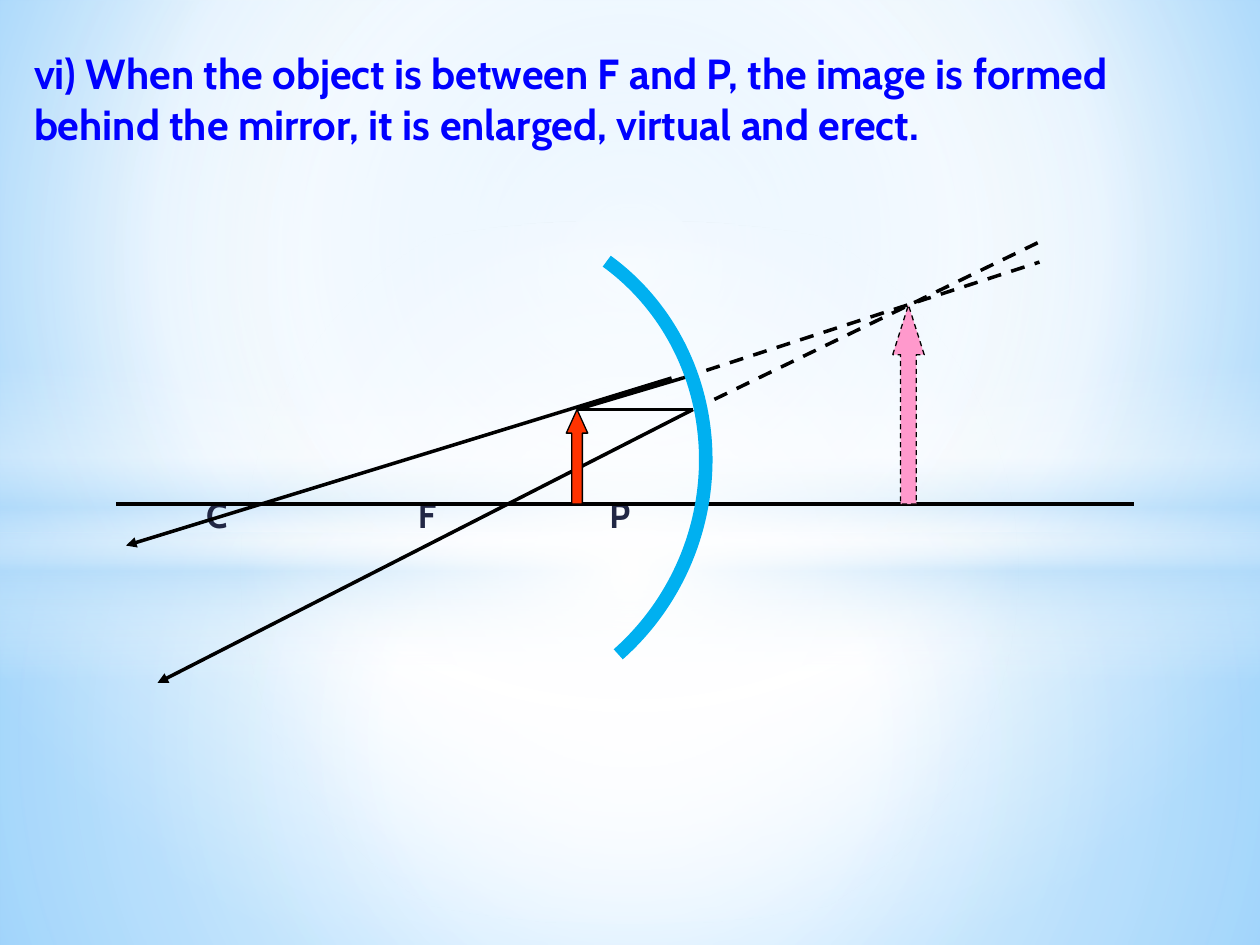
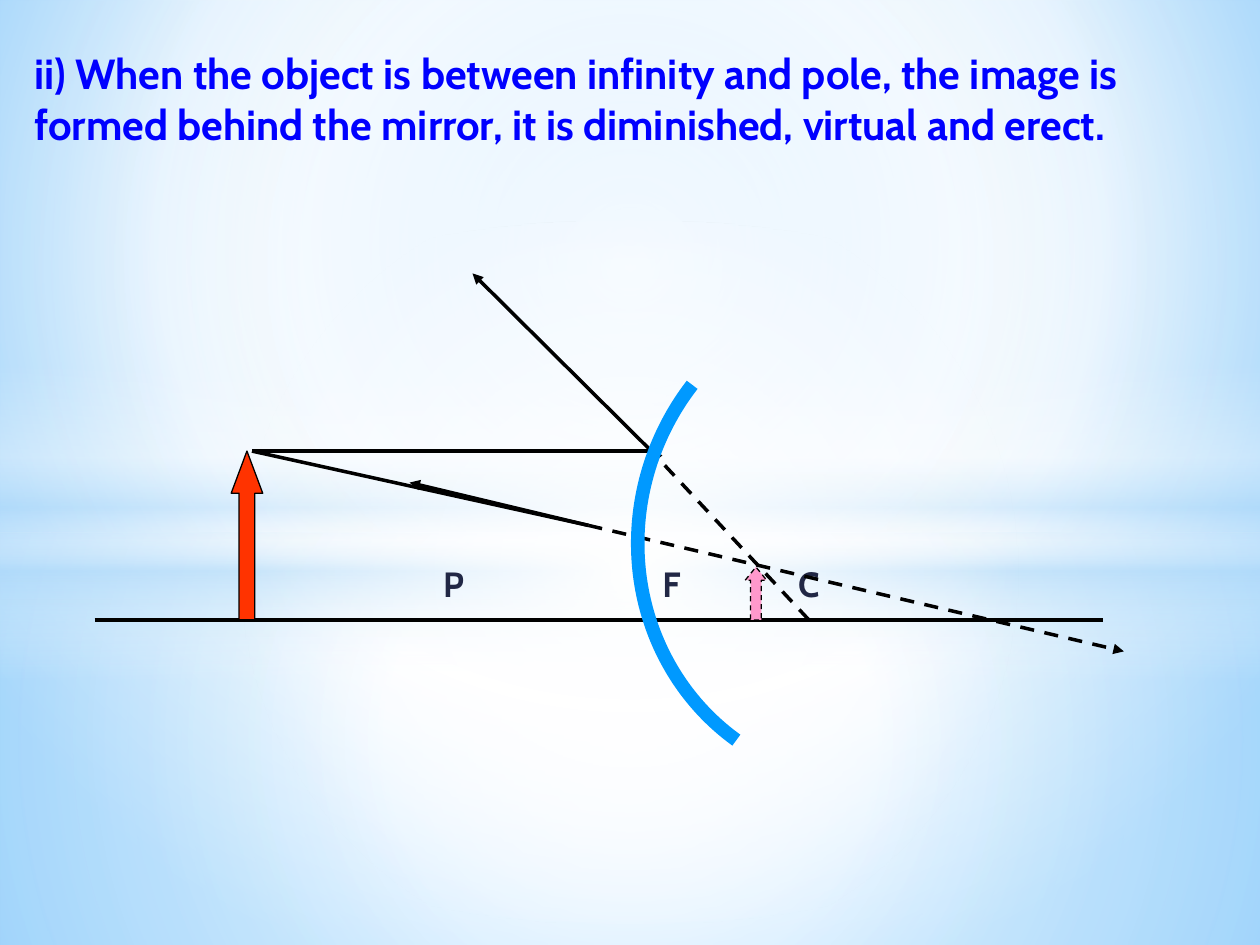
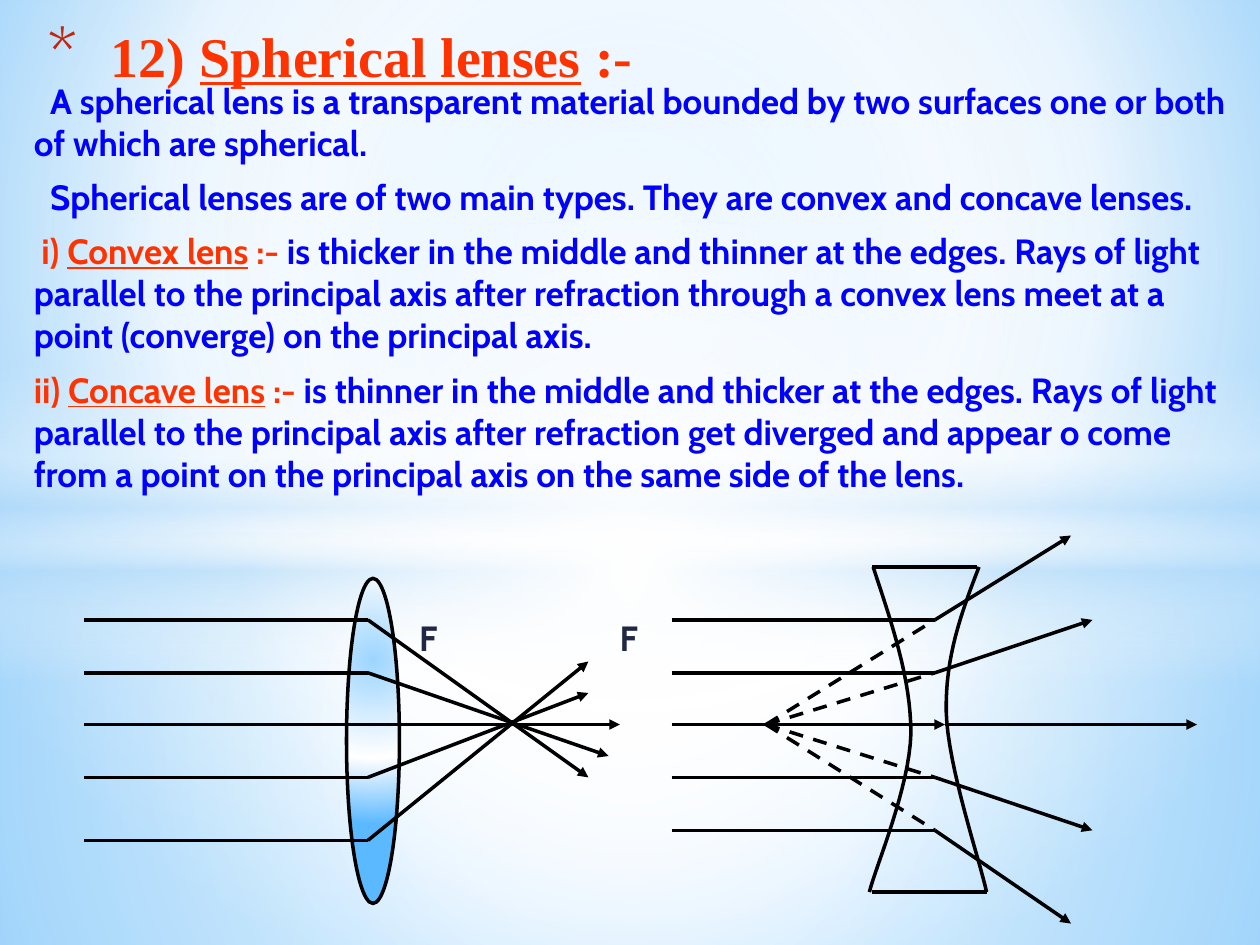
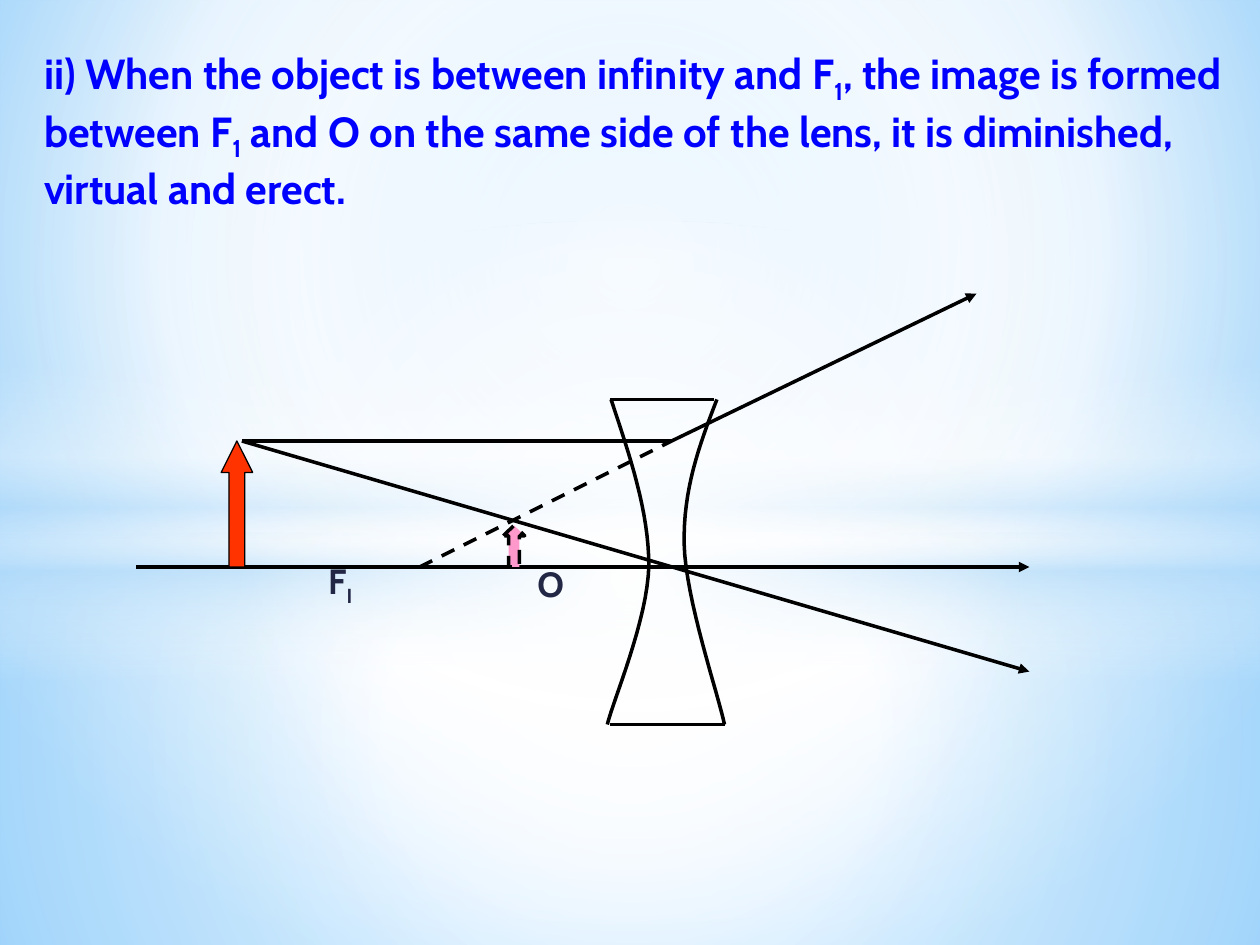
from lxml import etree
from pptx import Presentation, util as u
from pptx.dml.color import RGBColor
from pptx.enum import dml, shapes, text
from pptx.oxml import parse_xml
from pptx.oxml.ns import nsdecls, qn

WIDTH, HEIGHT = 10, 7.5
COLORS = {
    "statement": "0000FF", "heading": "FF3300", "label": "212745", "bullet": "C3260C",
    "line": "000000", "object": "FF3300", "image": "FF99CC",
    "concave mirror": "00B0F0", "convex mirror": "0099FF",
    "white": "FFFFFF", "sky": "9ED5FF", "haze": "B4DCFA", "deep": "5BB9FF",
}
BODY_FONT, HEADING_FONT = "Cabin", "Times New Roman"
CENTER = (50, 50, 50, 50)

# Gradient stops: (position %, colour, opacity %); focus: left, top, right, bottom %
SKY = ([(0, "sky", 100), (60, "white", 100), (100, "deep", 100)], (20, 10, 20, 60))
BANDS = [  # preset, top, height, stops, focus (None: vertical gradient)
    ("RECTANGLE", 4.23, 3.27, [(0, "white", 91), (37, "white", 76), (100, "haze", 79)], CENTER),
    ("RECTANGLE", 0, 4.23, [(0, "white", 89), (48, "white", 62), (100, "haze", 79)], CENTER),
    ("RECTANGLE", 2.9, 2.5, [(0, "white", 0), (29, "white", 30), (45, "haze", 40),
                             (55, "white", 26), (65, "haze", 60), (100, "white", 0)], None),
    ("OVAL", 1.75, 5.58, [(0, "white", 100), (54, "white", 0)], CENTER),
]

# Rays: x1, y1, x2, y2, style. Arrows: role, centre x, tip, foot, width, line width.
# Mirror: role, left, top, rotation, start and end angle. Labels: runs, centre x, centre y.
# A run is a string, or (string, tags).
SUB = "sub"
RAY_SLIDES = [
    {"statement": ["vi) When the object is between F and P, the image is formed behind the "
                   "mirror, it is enlarged, virtual and erect."],
     "left": 0.17,
     "labels": [(["C"], 1.72, 4.08), (["F"], 3.39, 4.08), (["P"], 4.92, 4.08)],
     "rays": [(0.92, 4, 9, 4, "solid"), (4.58, 3.25, 5.5, 3.25, "solid"),
              (5.5, 3.25, 1.25, 5.42, "arrow"), (5.33, 3, 1, 4.33, "arrow"),
              (4.58, 3.25, 5.42, 3, "solid"), (5.67, 3.17, 8.25, 1.92, "dash"),
              (5.42, 3, 8.25, 2.08, "dash")],
     "arrows": [("object", 4.58, 3.25, 4, 0.17, 0.75), ("image", 7.21, 2.42, 4, 0.25, 0.75)],
     "mirror": ("concave mirror", 1.76, 1.71, 22.3, 282.66, 28.08)},
    {"statement": ["ii) When the object is between infinity and pole, the image is formed "
                   "behind the mirror, it is diminished, virtual and erect."],
     "left": 0.17,
     "labels": [(["P"], 3.6, 4.63), (["F"], 5.33, 4.63), (["C"], 6.42, 4.63)],
     "rays": [(0.75, 4.92, 8.75, 4.92, "solid"), (2, 3.58, 5.17, 3.58, "solid"),
              (2, 3.58, 4.67, 4.17, "solid"), (4.67, 4.17, 8.92, 5.17, "dash arrow"),
              (6.42, 4.92, 5.17, 3.58, "dash arrow"), (5.17, 3.58, 3.75, 2.17, "arrow"),
              (4.67, 4.17, 3.25, 3.83, "arrow")],
     "arrows": [("object", 1.96, 3.58, 4.92, 0.25, 0.75), ("image", 6, 4.5, 4.92, 0.17, 0.75)],
     "mirror": ("convex mirror", 5.08, 2.25, 208.7, 276.55, 9.73)},
    {"statement": ["ii) When the object is between infinity and F", ("1", SUB),
                   ", the image is formed between F", ("1", SUB),
                   " and O on the same side of the lens, it is diminished, virtual and erect."],
     "left": 0.25,
     "labels": [(["F", ("I", SUB)], 2.7, 4.63), (["O"], 4.37, 4.63)],
     "rays": [(1.08, 4.5, 8.17, 4.5, "arrow"), (1.92, 3.5, 5.33, 3.5, "solid"),
              (3.33, 4.5, 5.33, 3.5, "dash"), (5.33, 3.5, 7.75, 2.33, "arrow"),
              (1.92, 3.5, 8.17, 5.33, "arrow")],
     "arrows": [("object", 1.88, 3.5, 4.5, 0.25, 0.75), ("image", 4.08, 4.17, 4.5, 0.17, 2)],
     "lens": (4.75, 3.17)},
]

LENS_TITLE = ["12) ", ("Spherical lenses", "underline"), " :-"]
LENS_TEXT = [  # first-line indent, runs
    (0.13, ["A spherical lens is a transparent material bounded by two surfaces one or both "
            "of which are spherical."]),
    (0.13, ["Spherical lenses are of two main types. They are convex and concave lenses."]),
    (0.06, [("i) ", "heading"), ("Convex lens", "heading underline"), (" :-", "heading"),
            " is thicker in the middle and thinner at the edges. Rays of light parallel to the "
            "principal axis after refraction through a convex lens meet at a point (converge) "
            "on the principal axis."]),
    (0, [("ii) ", "heading"), ("Concave lens", "heading underline"), (" :-", "heading"),
         " is thinner in the middle and thicker at the edges. Rays of light parallel to the "
         "principal axis after refraction get diverged and appear o come from a point on the "
         "principal axis on the same side of the lens."]),
]
LENS_LABELS = [(["F"], 3.4, 5.06), (["F"], 4.99, 5.06)]
LENS_AXIS = 5.75
# Each ray: height before the lens, end point after it
CONVEX = {"start": 0.67, "lens": 2.92, "rays": [
    (4.92, 4.67, 6.17), (5.34, 4.83, 6), (6.17, 4.67, 5.5), (6.67, 4.67, 5.25)]}
CONCAVE = {"start": 5.33, "lens": 7.42, "focus": 6.08, "rays": [
    (4.92, 8.5, 4.25), (5.34, 8.67, 4.92), (6.17, 8.67, 6.59), (6.59, 8.5, 7.33)]}
LENS_AXIS_RAYS = [(0.67, 4.92), (5.33, 7.5), (7.5, 9.5)]

# Concave lens, relative to its left top corner: two cubic curves for each surface
LENS_HEIGHT = 2.58
LENS_SURFACES = [
    [(0.1, 0), (0.25, 0.45), (0.4, 0.89), (0.4, 1.32), (0.39, 1.75), (0.12, 2.38), (0.07, 2.58)],
    [(0.94, 0), (0.8, 0.36), (0.67, 0.72), (0.68, 1.15), (0.69, 1.58), (0.95, 2.34), (1, 2.58)],
]
LENS_EDGES = [(0.09, 0.92, 0), (0.09, 1, LENS_HEIGHT)]


def rgb(name):
    return RGBColor.from_string(COLORS[name])


def inches(*values):
    return [u.Inches(value) for value in values]


def gradient(stops, focus):
    stop_xml = "".join(
        f'<a:gs pos="{position * 1000}"><a:srgbClr val="{COLORS[color]}">'
        f'<a:alpha val="{opacity * 1000}"/></a:srgbClr></a:gs>'
        for position, color, opacity in stops)
    if focus:
        sides = " ".join(f'{side}="{share * 1000}"' for side, share in zip("ltrb", focus))
        direction = f'<a:path path="circle"><a:fillToRect {sides}/></a:path>'
    else:
        direction = '<a:lin ang="5400000" scaled="0"/>'
    return parse_xml(f'<a:gradFill {nsdecls("a")} rotWithShape="1"><a:gsLst>{stop_xml}</a:gsLst>'
                     f'{direction}</a:gradFill>')


def set_gradient(fill, parent, stops, focus):
    fill.solid()
    parent.replace(parent.find(qn("a:solidFill")), gradient(stops, focus))


def build_master(presentation, slide):
    """Put the sky and the bands on the master; they are made on a slide, then moved."""
    master = presentation.slide_master
    fill = master.background.fill
    fill.solid()
    set_gradient(fill, master.element.find(".//" + qn("p:bgPr")), *SKY)
    for index, (preset, top, height, stops, focus) in enumerate(BANDS):
        band = slide.shapes.add_shape(shapes.MSO_SHAPE[preset], *inches(0, top, WIDTH, height))
        band.shadow.inherit = False
        band.line.fill.background()
        set_gradient(band.fill, band.element.spPr, stops, focus)
        master.shapes.element.insert(2 + index, band.element)


def write(paragraph, runs, size, color, font=BODY_FONT):
    for item in runs:
        words, tags = item if isinstance(item, tuple) else (item, "")
        run = paragraph.add_run()
        run.text = words
        run.font.name, run.font.size, run.font.bold = font, u.Pt(size), True
        run.font.color.rgb = rgb("heading" if "heading" in tags else color)
        if "underline" in tags:
            run.font.underline = True
        if SUB in tags:
            run.font._element.set("baseline", "-25000")


def prepare_frame(shape, anchor=text.MSO_ANCHOR.TOP):
    frame = shape.text_frame
    frame.word_wrap = True
    frame.auto_size = text.MSO_AUTO_SIZE.NONE
    frame.vertical_anchor = anchor
    return frame


def place_title(slide, left, top, width, height):
    title = slide.shapes.title
    title.left, title.top, title.width, title.height = inches(left, top, width, height)
    frame = prepare_frame(title)
    frame.paragraphs[0].alignment = text.PP_ALIGN.LEFT
    return frame


def add_labels(slide, labels, width=0.6, height=0.4):
    for runs, x, y in labels:
        box = slide.shapes.add_textbox(*inches(x - width / 2, y - height / 2, width, height))
        frame = prepare_frame(box, text.MSO_ANCHOR.MIDDLE)
        frame.margin_left = frame.margin_right = frame.margin_top = frame.margin_bottom = 0
        frame.paragraphs[0].alignment = text.PP_ALIGN.CENTER
        write(frame.paragraphs[0], runs, 20, "label")


def set_line(shape, color="line", width=2, dashed=False):
    shape.line.color.rgb = rgb(color)
    shape.line.width = u.Pt(width)
    if dashed:
        shape.line.dash_style = dml.MSO_LINE.DASH


def add_ray(slide, x1, y1, x2, y2, style="solid"):
    ray = slide.shapes.add_connector(shapes.MSO_CONNECTOR.STRAIGHT, *inches(x1, y1, x2, y2))
    set_line(ray, dashed="dash" in style)
    if "arrow" in style:
        etree.SubElement(ray.line._get_or_add_ln(), qn("a:tailEnd"), type="triangle")
    etree.SubElement(ray._element.spPr, qn("a:effectLst"))


def add_up_arrow(slide, role, x, tip, foot, width, line_width):
    """The head takes a quarter of the arrow's length."""
    arrow = slide.shapes.add_shape(shapes.MSO_SHAPE.UP_ARROW,
                                   *inches(x - width / 2, tip, width, foot - tip))
    arrow.adjustments[0] = 0.5
    arrow.adjustments[1] = (foot - tip) / 4 / width
    arrow.shadow.inherit = False
    arrow.fill.solid()
    arrow.fill.fore_color.rgb = rgb(role)
    set_line(arrow, width=line_width, dashed=role == "image")


def add_mirror(slide, role, left, top, rotation, start, end):
    mirror = slide.shapes.add_shape(shapes.MSO_SHAPE.ARC, *inches(left, top, 3.83, 3.99))
    mirror.rotation = rotation
    for index, angle in enumerate((start, end)):
        mirror.adjustments[index] = angle * 0.6  # 60000 units a degree, scaled by 100000
    mirror.shadow.inherit = False
    mirror.fill.background()
    set_line(mirror, role, 7.75)


def cubic_points(controls, steps=16):
    points = [controls[0]]
    for first in range(0, len(controls) - 1, 3):
        for step in range(1, steps + 1):
            t = step / steps
            weights = ((1 - t) ** 3, 3 * t * (1 - t) ** 2, 3 * t * t * (1 - t), t ** 3)
            points.append(tuple(
                sum(weight * point[axis]
                    for weight, point in zip(weights, controls[first:first + 4]))
                for axis in (0, 1)))
    return points


def add_concave_lens(slide, left, top):
    for controls in LENS_SURFACES:
        points = [inches(left + x, top + y) for x, y in cubic_points(controls)]
        builder = slide.shapes.build_freeform(*points[0])
        builder.add_line_segments(points[1:], close=False)
        surface = builder.convert_to_shape()
        surface.shadow.inherit = False
        surface.fill.background()
        set_line(surface)
    for x1, x2, y in LENS_EDGES:
        add_ray(slide, left + x1, top + y, left + x2, top + y)


def build_ray_slide(slide, content):
    left = content["left"]
    frame = place_title(slide, left, 0.33, WIDTH - 0.17 - left, 1.5)
    write(frame.paragraphs[0], content["statement"], 24, "statement")
    add_labels(slide, content["labels"])
    if "lens" in content:
        add_concave_lens(slide, *content["lens"])
    for ray in content["rays"]:
        add_ray(slide, *ray)
    for arrow in content["arrows"]:
        add_up_arrow(slide, *arrow)
    if "mirror" in content:
        add_mirror(slide, *content["mirror"])


def write_lens_title(slide):
    frame = place_title(slide, 0.08, 0.08, 9.33, 0.5)
    frame.margin_top = u.Inches(0.09)
    properties = frame.paragraphs[0]._p.get_or_add_pPr()
    properties.set("marL", str(u.Inches(0.7)))
    properties.set("indent", str(u.Inches(-0.5)))
    color = etree.SubElement(properties, qn("a:buClr"))
    etree.SubElement(color, qn("a:srgbClr"), val=COLORS["bullet"])
    etree.SubElement(properties, qn("a:buSzPct"), val="128000")
    etree.SubElement(properties, qn("a:buFont"), typeface=BODY_FONT)
    etree.SubElement(properties, qn("a:buChar"), char="*")
    write(frame.paragraphs[0], LENS_TITLE, 32, "heading", HEADING_FONT)


def build_lens_slide(slide):
    write_lens_title(slide)
    frame = prepare_frame(slide.shapes.add_textbox(*inches(0.17, 0.58, 9.67, 3.5)))
    for index, (indent, runs) in enumerate(LENS_TEXT):
        paragraph = frame.add_paragraph() if index else frame.paragraphs[0]
        paragraph.space_before = u.Pt(4 if index else 0)
        paragraph.space_after = u.Pt(3)
        paragraph._p.get_or_add_pPr().set("indent", str(u.Inches(indent)))
        write(paragraph, runs, 20, "statement")
    add_labels(slide, LENS_LABELS)

    convex_lens = slide.shapes.add_shape(shapes.MSO_SHAPE.OVAL,
                                         *inches(2.75, 4.59, 0.42, LENS_HEIGHT))
    convex_lens.shadow.inherit = False
    set_gradient(convex_lens.fill, convex_lens.element.spPr, *SKY)
    set_line(convex_lens)
    add_concave_lens(slide, 6.83, 4.5)

    for lens in (CONVEX, CONCAVE):
        for y, end_x, end_y in lens["rays"]:
            add_ray(slide, lens["start"], y, lens["lens"], y)
            if "focus" in lens:
                add_ray(slide, lens["focus"], LENS_AXIS, lens["lens"], y, "dash")
            add_ray(slide, lens["lens"], y, end_x, end_y, "arrow")
    for start, end in LENS_AXIS_RAYS:
        add_ray(slide, start, LENS_AXIS, end, LENS_AXIS, "arrow")


def main():
    presentation = Presentation()
    presentation.slide_width, presentation.slide_height = inches(WIDTH, HEIGHT)
    title_only = presentation.slide_layouts[5]
    slides = [presentation.slides.add_slide(title_only) for _ in range(4)]
    build_master(presentation, slides[0])
    concave_mirror, convex_mirror, lens_types, concave_lens = slides
    for slide, content in zip((concave_mirror, convex_mirror, concave_lens), RAY_SLIDES):
        build_ray_slide(slide, content)
    build_lens_slide(lens_types)
    presentation.save("out.pptx")


if __name__ == "__main__":
    main()
